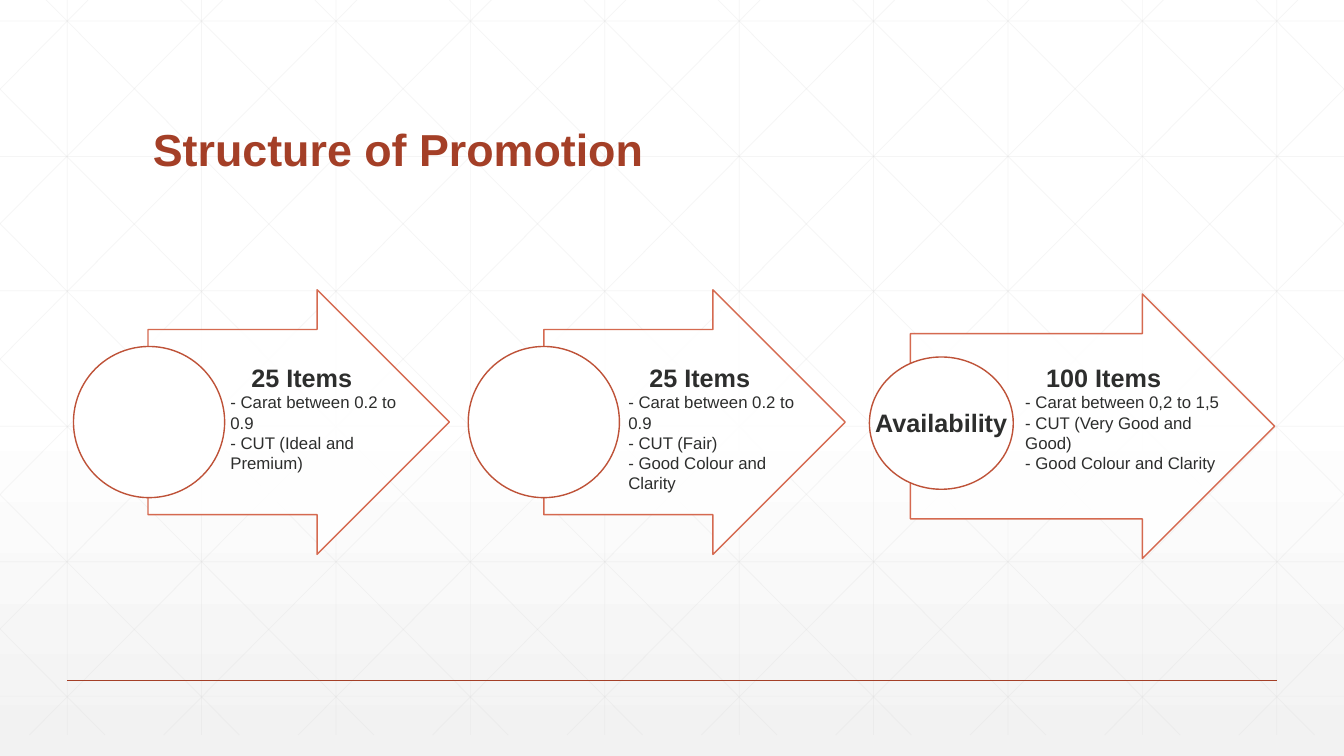
from lxml import etree
from pptx import Presentation, util as u
from pptx.dml.color import RGBColor
from pptx.enum import shapes, text
from pptx.oxml.ns import qn

SCALE = 9525
WIDTH, HEIGHT = 1280, 720
GRID_TOP, GRID_BOTTOM = -20, 700
GRID_STEP = 128
DIAGONAL_RUN = 716
FONT = "Arial"
INK = "2D2E2D"
RUST = "A43F27"

OFFERS = [
    {
        "arrow": (141, 276, 287, 252),
        "circle": (70, 330, 144, 144),
        "details": (210, 340, 191, 145),
        "heading": "25 Items",
        "terms": ["- Carat between 0.2 to 0.9", "- CUT (Ideal and Premium)"],
    },
    {
        "arrow": (518, 276, 287, 252),
        "circle": (446, 330, 144, 144),
        "details": (589, 340, 191, 165),
        "heading": "25 Items",
        "terms": ["- Carat between 0.2 to 0.9", "- CUT (Fair)", "- Good Colour and Clarity"],
    },
    {
        "arrow": (867, 280, 347, 252),
        "circle": (828, 340, 137, 126),
        "details": (967, 340, 206, 116),
        "heading": "100 Items",
        "terms": [
            "- Carat between 0,2 to 1,5",
            "- CUT (Very Good and Good)",
            "- Good Colour and Clarity",
        ],
    },
]


def px(length):
    return u.Emu(round(length) * SCALE)


def place(box):
    return [px(length) for length in box]


def colour(value):
    return RGBColor.from_string(value)


def set_opacity(shape, percent):
    for tint in shape.element.spPr.iter(qn("a:srgbClr")):
        etree.SubElement(tint, qn("a:alpha"), val=str(percent * 1000))


def add_line(slide, start, end, ink, weight):
    line = slide.shapes.add_connector(
        shapes.MSO_CONNECTOR.STRAIGHT, *place(start), *place(end)
    )
    line.line.color.rgb = colour(ink)
    line.line.width = u.Pt(weight)
    etree.SubElement(line.element.spPr, qn("a:effectLst"))
    return line


def add_grid_line(slide, start, end):
    set_opacity(add_line(slide, start, end, "D9D9D9", 0.5), 25)


def add_grid(slide):
    for x in range(64, WIDTH, GRID_STEP):
        add_grid_line(slide, (x, 0), (x, GRID_BOTTOM))
    for row in range(6):
        y = 20 + row * 128.67
        add_grid_line(slide, (0, y), (WIDTH, y))
    slope = DIAGONAL_RUN / (GRID_BOTTOM - GRID_TOP)
    for column in range(-5, 10):
        origin = 24 + column * GRID_STEP
        top = max(0, GRID_TOP - origin / slope)
        bottom = min(GRID_BOTTOM, GRID_TOP + (WIDTH - origin) / slope)
        left, right = (origin + (y - GRID_TOP) * slope for y in (top, bottom))
        add_grid_line(slide, (left, top), (right, bottom))
        add_grid_line(slide, (WIDTH - left, top), (WIDTH - right, bottom))


def add_background(slide):
    fill = slide.background.fill
    fill.gradient()
    fill.gradient_angle = 270
    for stop, position, tint in zip(fill.gradient_stops, (0.53, 1), ("FFFFFF", "F2F2F2")):
        stop.position = position
        stop.color.rgb = colour(tint)


def add_run(paragraph, wording, size, bold, ink=INK):
    run = paragraph.add_run()
    run.text = wording
    run.font.name = FONT
    run.font.size = u.Pt(size)
    run.font.bold = bold
    run.font.color.rgb = colour(ink)


def set_title(slide, wording):
    title = slide.shapes.title
    title.left, title.top, title.width, title.height = place((136, 53, 1008, 120))
    frame = title.text_frame
    frame.auto_size = text.MSO_AUTO_SIZE.NONE
    frame.vertical_anchor = text.MSO_ANCHOR.BOTTOM
    paragraph = frame.paragraphs[0]
    paragraph.alignment = text.PP_ALIGN.LEFT
    paragraph.line_spacing = 0.9
    add_run(paragraph, wording, 32, True, RUST)
    title.element.getparent().append(title.element)


def add_outline(slide, kind, box, ink):
    outline = slide.shapes.add_shape(kind, *place(box))
    outline.shadow.inherit = False
    outline.fill.solid()
    outline.fill.fore_color.rgb = colour("FFFFFF")
    outline.line.color.rgb = colour(ink)
    outline.line.width = u.Pt(1)
    return outline


def add_arrow(slide, box):
    arrow = add_outline(slide, shapes.MSO_SHAPE.RIGHT_ARROW, box, "D15A3E")
    arrow.adjustments[0] = 0.7
    arrow.adjustments[1] = 0.5
    set_opacity(arrow, 90)


def add_text(slide, box, heading, terms=(), indent=0):
    label = slide.shapes.add_textbox(*place(box))
    frame = label.text_frame
    frame.word_wrap = True
    frame.auto_size = text.MSO_AUTO_SIZE.SHAPE_TO_FIT_TEXT
    add_run(frame.paragraphs[0], heading, 18, True)
    first = next(label.element.iter(qn("a:p")))
    first.get_or_add_pPr().set("marL", str(px(indent)))
    for term in terms:
        add_run(frame.add_paragraph(), term, 12, False)


def main():
    deck = Presentation()
    deck.slide_width, deck.slide_height = px(WIDTH), px(HEIGHT)
    slide = deck.slides.add_slide(deck.slide_layouts[5])
    add_background(slide)
    add_grid(slide)
    add_line(slide, (64, 648), (1216, 648), RUST, 1)
    set_title(slide, "Structure of Promotion")
    for offer in OFFERS:
        add_arrow(slide, offer["arrow"])
        add_outline(slide, shapes.MSO_SHAPE.OVAL, offer["circle"], "BE5238")
        add_text(slide, offer["details"], offer["heading"], offer["terms"], 20)
    add_text(slide, (824, 383, 163, 68), "Availability")
    deck.save("out.pptx")


if __name__ == "__main__":
    main()
